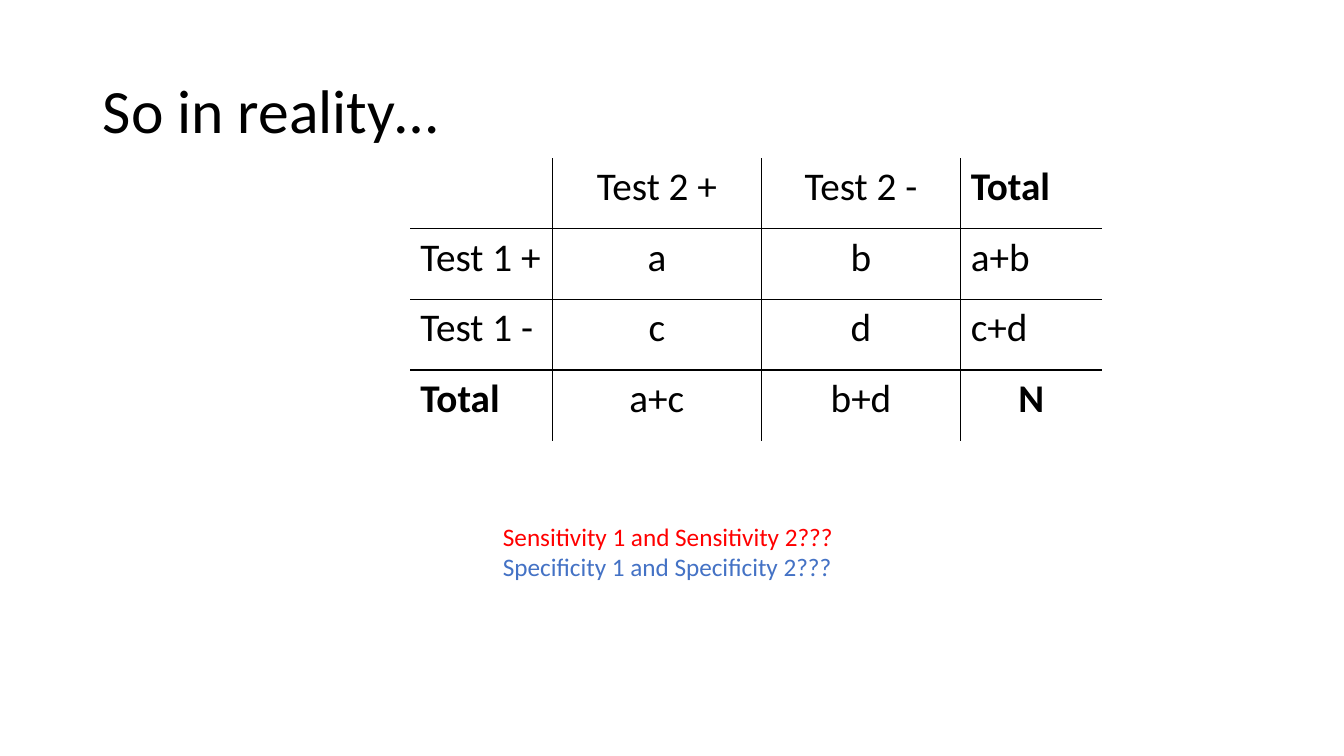
from lxml.etree import SubElement
from pptx import Presentation
from pptx.dml.color import RGBColor
from pptx.enum.text import MSO_ANCHOR, MSO_AUTO_SIZE, PP_ALIGN
from pptx.oxml.ns import qn
from pptx.util import Inches, Pt

BLACK = RGBColor(0x00, 0x00, 0x00)
RED = RGBColor(0xFF, 0x00, 0x00)
BLUE = RGBColor(0x44, 0x72, 0xC5)
FONT = "Calibri"

COUNTS = [
    ["", "Test 2 +", "Test 2 -", "Total"],
    ["Test 1 +", "a", "b", "a+b"],
    ["Test 1 -", "c", "d", "c+d"],
    ["Total", "a+c", "b+d", "N"],
]
BOLD_LABELS = ("Total", "N")
COLUMN_WIDTHS = [1.41, 2.07, 1.98, 1.4]
ROW_HEIGHT = 0.7
QUESTIONS = [
    ("Sensitivity 1 and Sensitivity 2???", RED),
    ("Specificity 1 and Specificity 2???", BLUE),
]


def style_paragraph(paragraph, size, color, bold=False):
    """Set the font of a whole paragraph."""
    font = paragraph.font
    font.name, font.size, font.bold = FONT, Pt(size), bold
    font.color.rgb = color


def add_title(slide, left, top, width, height):
    """Place the slide title in its placeholder."""
    title = slide.shapes.title
    title.left, title.top = Inches(left), Inches(top)
    title.width, title.height = Inches(width), Inches(height)
    frame = title.text_frame
    frame.text = "So in reality…"
    frame.auto_size = MSO_AUTO_SIZE.NONE
    frame.vertical_anchor = MSO_ANCHOR.MIDDLE
    heading = frame.paragraphs[0]
    heading.alignment = PP_ALIGN.LEFT
    heading.line_spacing = 0.9
    style_paragraph(heading, 44, BLACK)


def rule_cell(cell, inner_edges):
    """Draw a 1 pt line on each inner edge and none on the outer edges."""
    properties = cell._tc.get_or_add_tcPr()
    for edge, is_inner in inner_edges.items():
        line = SubElement(properties, qn(f"a:{edge}"), w=str(Pt(1)))
        if is_inner:
            fill = SubElement(line, qn("a:solidFill"))
            SubElement(fill, qn("a:srgbClr"), val=str(BLACK))
        else:
            SubElement(line, qn("a:noFill"))


def add_counts_table(slide, left, top):
    """Build the cross table of the two tests."""
    last = len(COUNTS) - 1
    table = slide.shapes.add_table(
        len(COUNTS), len(COLUMN_WIDTHS), Inches(left), Inches(top),
        Inches(sum(COLUMN_WIDTHS)), Inches(ROW_HEIGHT * len(COUNTS))).table
    table.first_row = table.horz_banding = False
    for column, width in zip(table.columns, COLUMN_WIDTHS):
        column.width = Inches(width)
    for r, labels in enumerate(COUNTS):
        table.rows[r].height = Inches(ROW_HEIGHT)
        for c, label in enumerate(labels):
            cell = table.cell(r, c)
            rule_cell(cell, {"lnL": c > 0, "lnR": c < last,
                             "lnT": r > 0, "lnB": r < last})
            cell.fill.background()
            cell.text = label
            entry = cell.text_frame.paragraphs[0]
            centered = c in (1, 2) or label == "N"
            entry.alignment = PP_ALIGN.CENTER if centered else PP_ALIGN.LEFT
            style_paragraph(entry, 28, BLACK, label in BOLD_LABELS)


def add_questions(slide, left, top, width, height):
    """Write the two open questions below the table."""
    frame = slide.shapes.add_textbox(
        Inches(left), Inches(top), Inches(width), Inches(height)).text_frame
    frame.word_wrap = True
    frame.auto_size = MSO_AUTO_SIZE.SHAPE_TO_FIT_TEXT
    frame.text = "\n".join(text for text, _ in QUESTIONS)
    for question, (_, color) in zip(frame.paragraphs, QUESTIONS):
        style_paragraph(question, 18, color)


def main():
    """Build and save the slide."""
    presentation = Presentation()
    presentation.slide_width = Inches(13.33)
    presentation.slide_height = Inches(7.5)
    slide = presentation.slides.add_slide(presentation.slide_layouts[5])
    add_title(slide, 0.92, 0.4, 11.5, 1.45)
    add_counts_table(slide, 4.07, 1.57)
    add_questions(slide, 4.89, 5.12, 3.8, 0.71)
    presentation.save("out.pptx")


if __name__ == "__main__":
    main()
